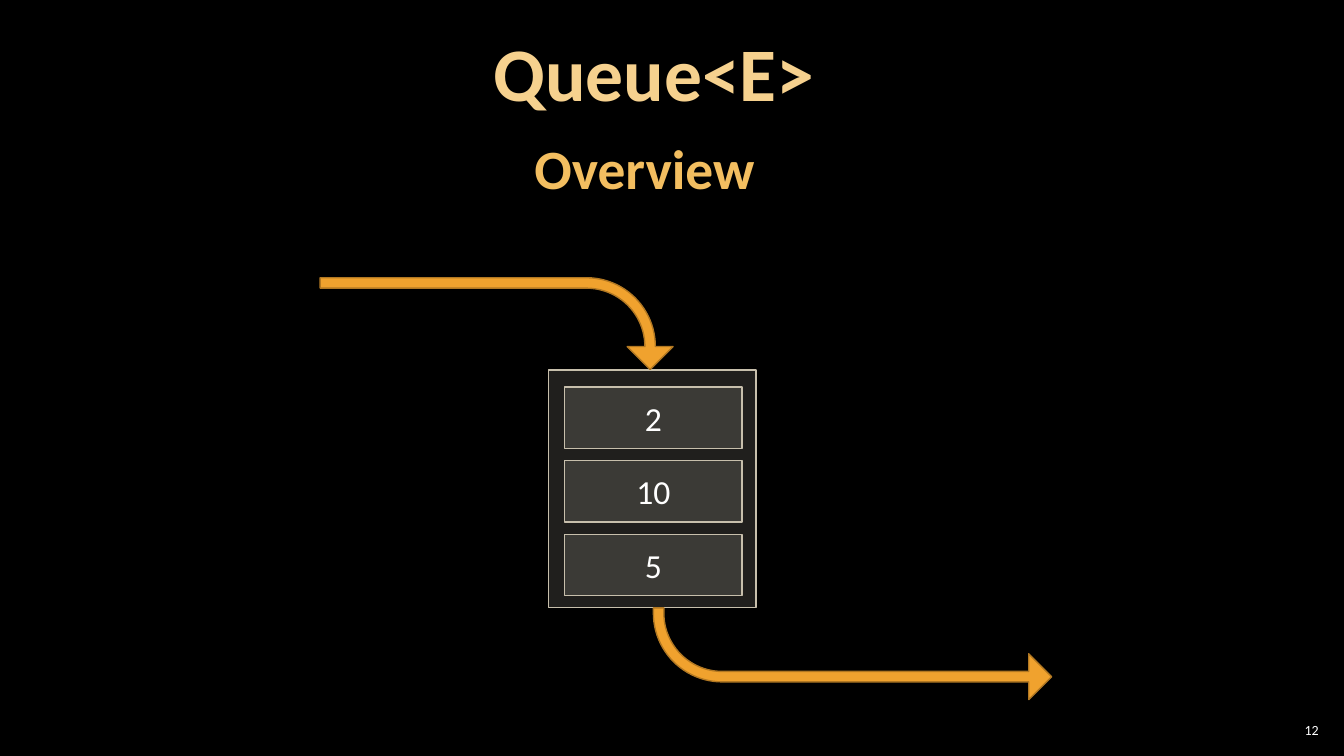
from lxml import etree
from pptx import Presentation
from pptx import util as u
from pptx.dml.color import RGBColor
from pptx.enum import shapes, text
from pptx.oxml.ns import qn

PX = 9144  # EMU per px, 100 px to the inch
FONT = "Calibri"
WHITE, SAND, EDGE = "FFFFFF", "D9D5C7", "C7BFAC"
ORANGE, BROWN = "F0A22E", "B27822"


def px(*lengths):
    return [u.Emu(n * PX) for n in lengths]


def rgb(color):
    return RGBColor.from_string(color)


def style_font(font, size, color, bold=False):
    font.name, font.size, font.bold = FONT, u.Pt(size), bold
    font.color.rgb = rgb(color)


def prepare_frame(sp, margin_x, margin_y):
    tf = sp.text_frame
    tf.word_wrap = True
    tf.vertical_anchor = text.MSO_ANCHOR.MIDDLE
    tf.margin_left = tf.margin_right = u.Emu(margin_x * PX)
    tf.margin_top = tf.margin_bottom = u.Emu(margin_y * PX)
    return tf


def add_filled(s, kind, box, fill, line):
    sp = s.shapes.add_shape(kind, *px(*box))
    sp.shadow.inherit = False
    sp.fill.solid()
    sp.fill.fore_color.rgb = rgb(fill)
    sp.line.color.rgb = rgb(line)
    sp.line.width = u.Pt(1)
    return sp


def add_panel(s, box):
    """Outlined rectangle with a 15 % opaque fill."""
    sp = add_filled(s, shapes.MSO_SHAPE.RECTANGLE, box, SAND, EDGE)
    color = sp.element.spPr.find(qn("a:solidFill"))[0]
    etree.SubElement(color, qn("a:alpha")).set("val", "15000")
    return sp


def add_bent_arrow(s, box, rotation, flip=False):
    """The box is the arrow's frame before rotation."""
    sp = add_filled(s, shapes.MSO_SHAPE.BENT_ARROW, box, ORANGE, BROWN)
    for i, value in enumerate((0.114, 0.25, 0.25, 0.75)):
        sp.adjustments[i] = value
    sp.rotation = rotation
    if flip:
        sp.element.spPr.get_or_add_xfrm().set("flipH", "1")


def add_title(s, box, title, subtitle):
    tf = prepare_frame(s.shapes.add_textbox(*px(*box)), 12, 4)
    p = tf.paragraphs[0]
    p.alignment = text.PP_ALIGN.CENTER
    p.line_spacing = 0.9
    lines = ((title, 54, "F6D18E"), (subtitle, 39.6, "F3BE60"),
             (" ", 59.4, "F3BE60"))
    for i, (words, size, color) in enumerate(lines):
        if i == 1:
            p.add_line_break()
        r = p.add_run()
        r.text = words
        style_font(r.font, size, color, bold=True)


def add_page_number(s, box, number):
    tf = prepare_frame(s.shapes.add_textbox(*px(*box)), 4, 4)
    p = tf.paragraphs[0]
    p.text = number
    p.alignment = text.PP_ALIGN.RIGHT
    style_font(p.font, 10, WHITE)


def add_queue(s, box, values):
    """Panel with one cell per value, and arrows into and out of it."""
    left, top, width, height = box
    add_panel(s, box)
    for i, value in enumerate(values):
        cell = add_panel(s, (left + 16, top + 17 + 73 * i, width - 30, 61))
        p = prepare_frame(cell, 20, 10).paragraphs[0]
        p.text = value
        p.alignment = text.PP_ALIGN.CENTER
        style_font(p.font, 24, WHITE)
    add_bent_arrow(s, (left - 97, top - 221, 91, 350), 90)
    add_bent_arrow(s, (left + 104, top + height, 395, 91), 180, flip=True)


def main():
    prs = Presentation()
    prs.slide_width, prs.slide_height = px(1333, 750)
    s = prs.slides.add_slide(prs.slide_layouts[6])
    s.background.fill.solid()
    s.background.fill.fore_color.rgb = rgb("000000")
    add_page_number(s, (1265, 714, 47, 21), "12")
    add_title(s, (-18, 43, 1333, 155), "Queue<E>", "Overview")
    add_queue(s, (544, 367, 206, 236), ("2", "10", "5"))
    prs.save("out.pptx")


if __name__ == "__main__":
    main()
